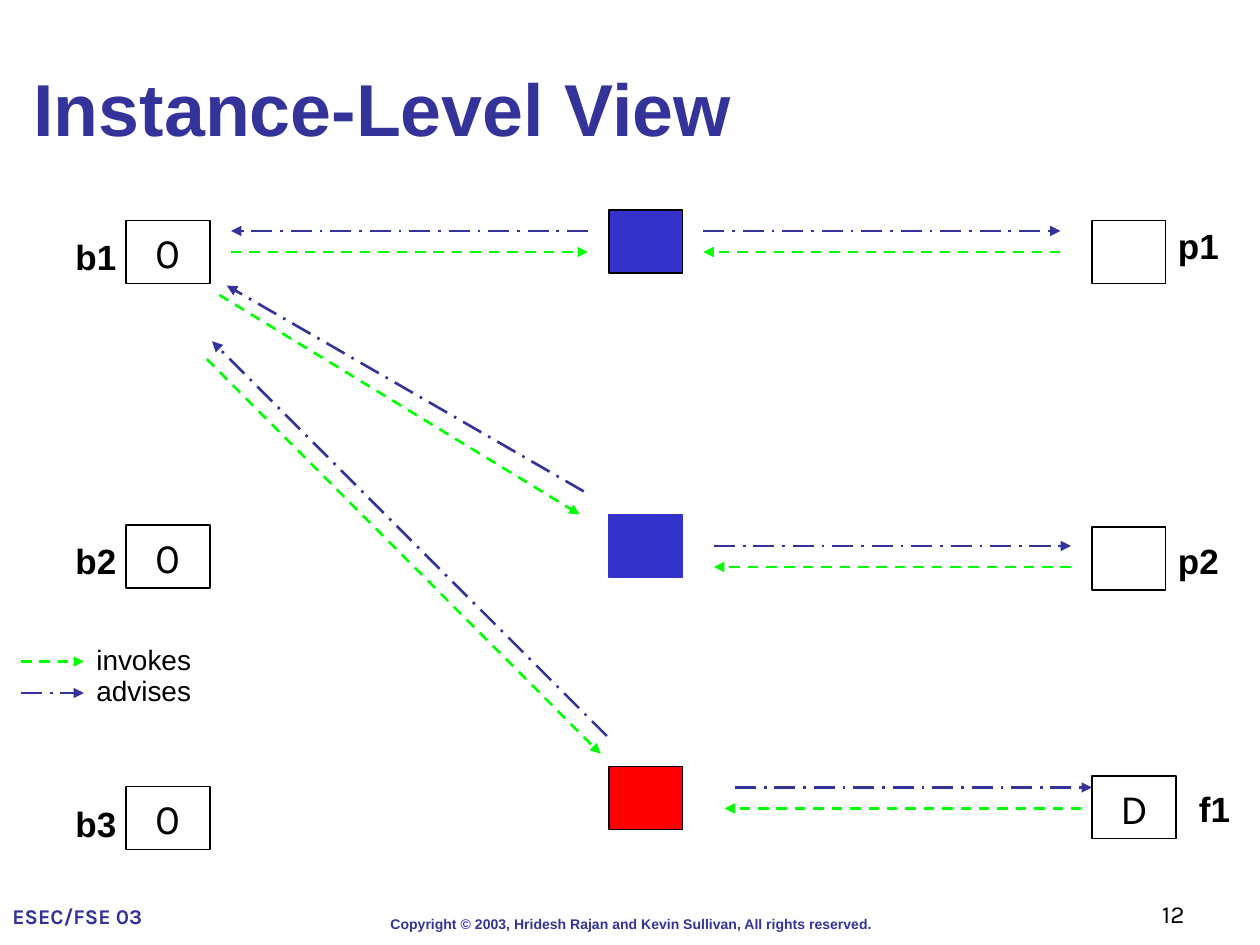
from lxml import etree
from pptx import Presentation, util as u
from pptx.dml.color import RGBColor
from pptx.enum import dml, shapes as s, text as t
from pptx.oxml import ns

NAVY = RGBColor(0x33, 0x33, 0x99)
BLUE = RGBColor(0x33, 0x33, 0xCC)
GREEN = RGBColor(0x00, 0xFF, 0x00)
RED = RGBColor(0xFF, 0x00, 0x00)
BLACK = RGBColor(0x00, 0x00, 0x00)
WHITE = RGBColor(0xFF, 0xFF, 0xFF)

COLUMNS, ROWS = 120, 90
CELL = u.Inches(10) // COLUMNS
BOX_HEIGHT = 6
LEFT_COLUMN, HUB_COLUMN, RIGHT_COLUMN = 12, 58, 104
WIDE, NARROW = 8, 7

INVOKES = (GREEN, dml.MSO_LINE.DASH)
ADVISES = (NAVY, dml.MSO_LINE.LONG_DASH_DOT)


def grid(*cells):
    """Turn counts of grid cells into lengths."""
    return [u.Emu(round(cell * CELL)) for cell in cells]


def add_run(paragraph, content, size, color, font="Arial", bold=False):
    """Append one formatted run to a paragraph."""
    run = paragraph.add_run()
    run.text = content
    run.font.name = font
    run.font.size = u.Pt(size)
    run.font.bold = bold
    run.font.color.rgb = color


def add_label(shapes, cells, content, size, color=BLACK, font="Arial", bold=False,
              align=t.PP_ALIGN.LEFT, anchor=t.MSO_ANCHOR.TOP):
    """Add a wrapped text box with one run."""
    frame = shapes.add_textbox(*grid(*cells)).text_frame
    frame.word_wrap = True
    frame.vertical_anchor = anchor
    frame.paragraphs[0].alignment = align
    add_run(frame.paragraphs[0], content, size, color, font, bold)


def add_box(shapes, column, row, width, fill=WHITE, line=BLACK, content=""):
    """Add an instance rectangle, with its value if it has one."""
    box = shapes.add_shape(s.MSO_SHAPE.RECTANGLE, *grid(column, row, width, BOX_HEIGHT))
    box.shadow.inherit = False
    box.fill.solid()
    box.fill.fore_color.rgb = fill
    box.line.color.rgb = line
    box.line.width = u.Pt(0.75)
    if content:
        frame = box.text_frame
        frame.vertical_anchor = t.MSO_ANCHOR.TOP
        frame.paragraphs[0].alignment = t.PP_ALIGN.CENTER
        add_run(frame.paragraphs[0], content, 24, BLACK, "Karla")


def add_arrow(shapes, style, start, end):
    """Add a dashed arrow pointing from start to end."""
    color, dash = style
    arrow = shapes.add_connector(s.MSO_CONNECTOR.STRAIGHT, *grid(*start, *end))
    arrow.line.color.rgb = color
    arrow.line.width = u.Pt(1.5)
    arrow.line.dash_style = dash
    properties = arrow.element.spPr
    tail = etree.SubElement(properties.find(ns.qn("a:ln")), ns.qn("a:tailEnd"))
    tail.set("type", "triangle")
    etree.SubElement(properties, ns.qn("a:effectLst"))


def add_hub(slide, row, fill, line, right_link, left_link):
    """Group a mediator with its arrow pairs to the right and left."""
    shapes = slide.shapes.add_group_shape().shapes
    add_box(shapes, HUB_COLUMN, row, NARROW, fill, line)
    for invokes, advises in (right_link, left_link):
        add_arrow(shapes, INVOKES, *invokes)
        add_arrow(shapes, ADVISES, *advises)


def level_link(column, row, shift=0):
    """Return the two level arrows between a mediator and its right instance."""
    span = 34
    return (((column + span, row + 2), (column, row + 2)),
            ((column + shift, row), (column + shift + span, row)))


def add_title(slide, content):
    """Place and fill the title placeholder."""
    title = slide.shapes.title
    title.left, title.top, title.width, title.height = grid(2, 0, 114, 15)
    frame = title.text_frame
    frame.auto_size = t.MSO_AUTO_SIZE.NONE
    frame.vertical_anchor = t.MSO_ANCHOR.BOTTOM
    frame.paragraphs[0].alignment = t.PP_ALIGN.LEFT
    add_run(frame.paragraphs[0], content, 42, NAVY, bold=True)


def add_legend(slide):
    """Explain the two arrow styles."""
    for row, style, name in ((63, INVOKES, "invokes"), (66, ADVISES, "advises")):
        add_arrow(slide.shapes, style, (2, row), (8, row))
        add_label(slide.shapes, (8, row - 2.4, 18, 4.4), name, 16)


def add_footer(slide):
    """Add the event, copyright and page number."""
    frame = slide.shapes.add_textbox(*grid(36, 86.6, 48.4, 2.9)).text_frame
    frame.word_wrap = False
    for content, color in (
            ("Copyright ", NAVY), ("©", BLUE),
            (" 2003, Hridesh Rajan and Kevin Sullivan, All rights reserved.", NAVY)):
        add_run(frame.paragraphs[0], content, 8, color, bold=True)
    add_label(slide.shapes, (0, 83, 17, 6), "ESEC/FSE 03", 12, NAVY, "Karla", True,
              anchor=t.MSO_ANCHOR.BOTTOM)
    add_label(slide.shapes, (89, 83, 25, 6), "12", 14, font="Karla",
              align=t.PP_ALIGN.RIGHT, anchor=t.MSO_ANCHOR.BOTTOM)


def main():
    """Build the slide."""
    presentation = Presentation()
    presentation.slide_width, presentation.slide_height = grid(COLUMNS, ROWS)
    slide = presentation.slides.add_slide(presentation.slide_layouts[5])
    add_title(slide, "Instance-Level View")

    instances = (
        ("b1", 6, 21.8, LEFT_COLUMN, 21, WIDE, "0"),
        ("b2", 6, 50.8, LEFT_COLUMN, 50, WIDE, "0"),
        ("b3", 6, 75.8, LEFT_COLUMN, 74.9, WIDE, "0"),
        ("p1", 111, 20.8, RIGHT_COLUMN, 21, NARROW, ""),
        ("p2", 111, 50.8, RIGHT_COLUMN, 50.2, NARROW, ""),
        ("f1", 113, 74.4, RIGHT_COLUMN, 73.9, WIDE, "D"),
    )
    for name, name_column, name_row, column, row, width, value in instances:
        add_box(slide.shapes, column, row, width, content=value)
        add_label(slide.shapes, (name_column, name_row, 8, 5.3), name, 20, bold=True)

    add_hub(slide, 20, BLUE, BLACK, level_link(67, 22),
            (((22, 24), (56, 24)), ((56, 22), (22, 22))))
    add_hub(slide, 49, BLUE, BLUE, level_link(68, 52),
            (((20.9, 28.1), (55.2, 49)), ((55.6, 46.8), (21.6, 27.2))))
    add_hub(slide, 73, RED, BLACK, level_link(69, 75, shift=1),
            (((19.7, 34.2), (57.2, 71.8)), ((57.8, 70.1), (20.2, 32.5))))

    add_legend(slide)
    add_footer(slide)
    presentation.save("out.pptx")


if __name__ == "__main__":
    main()
